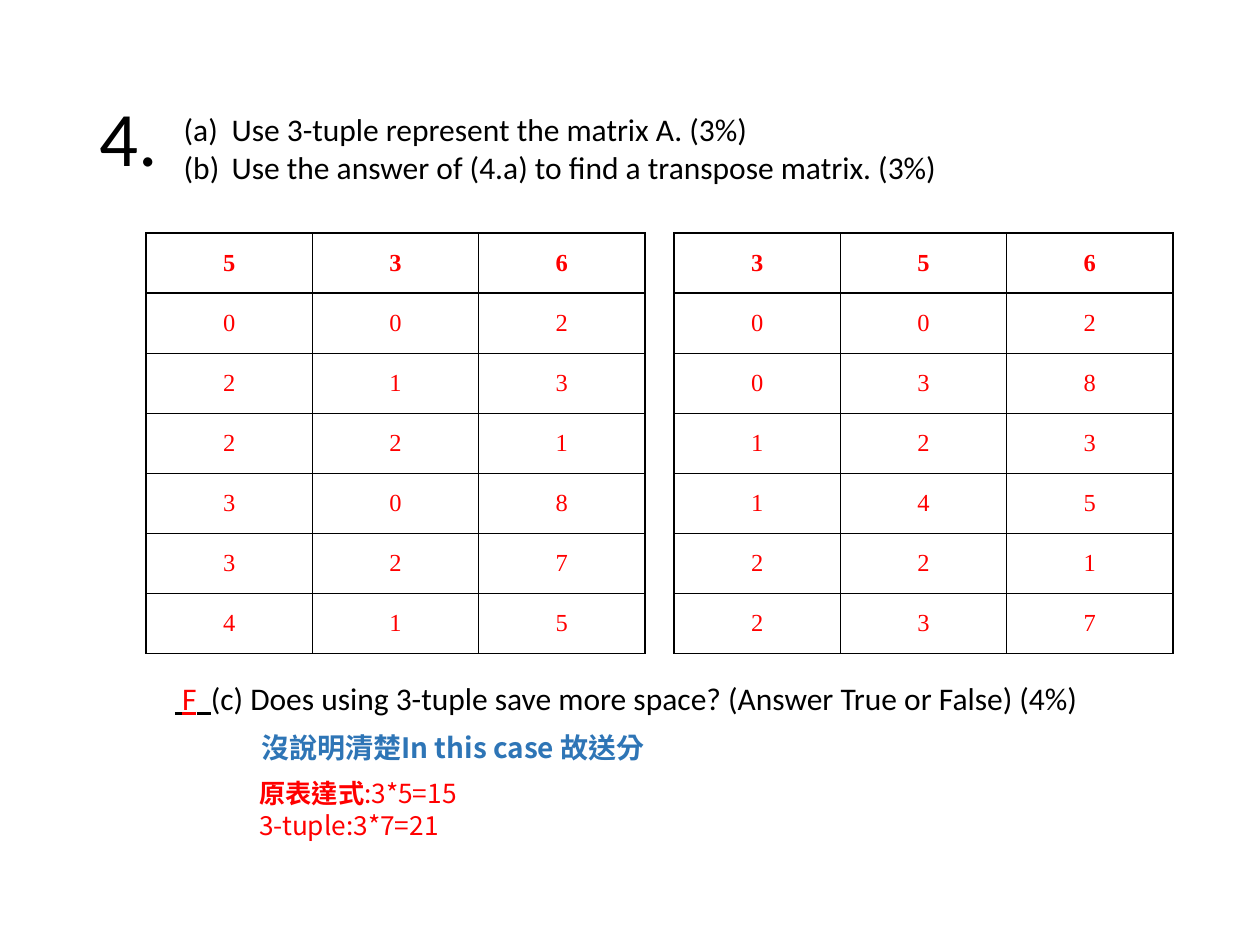
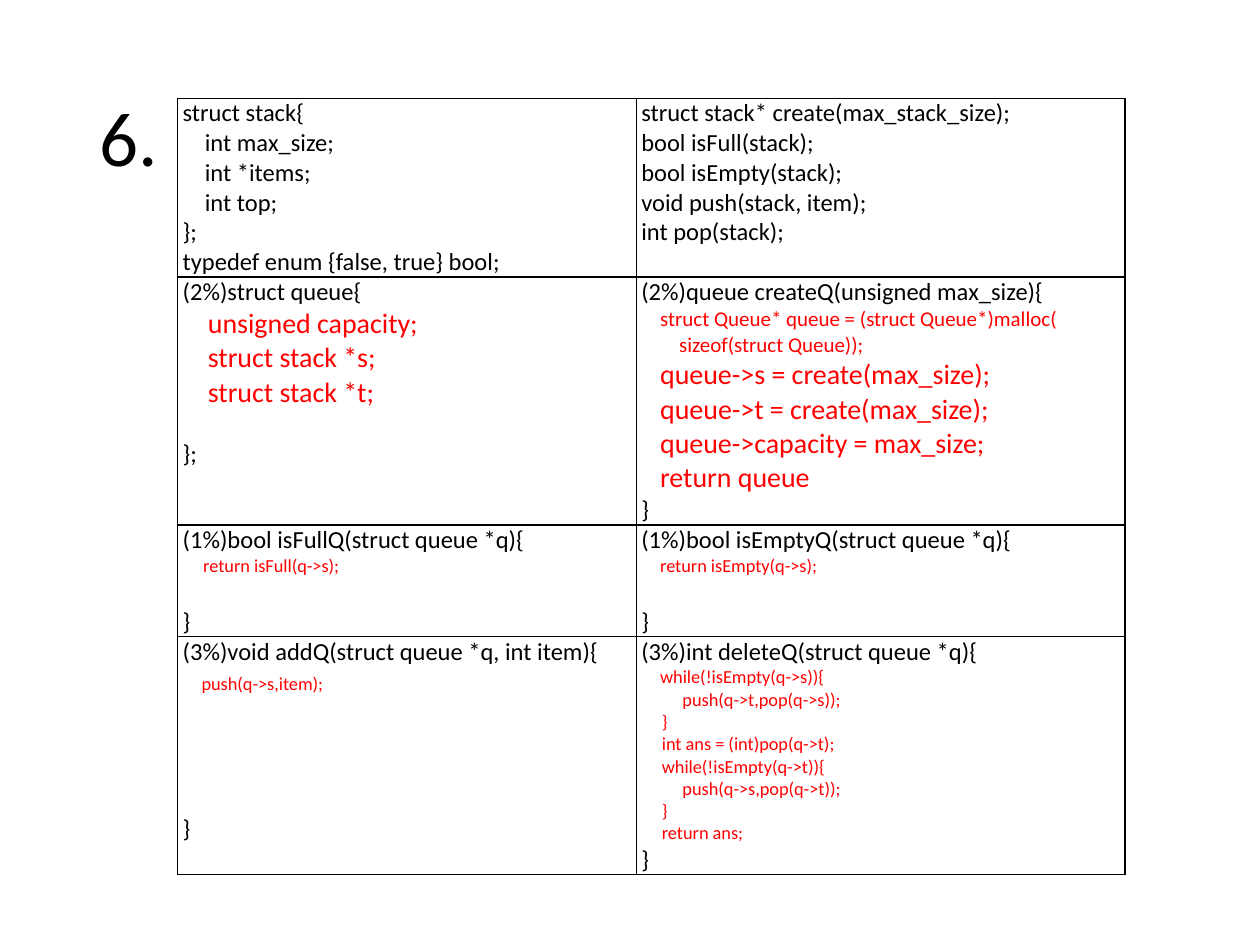
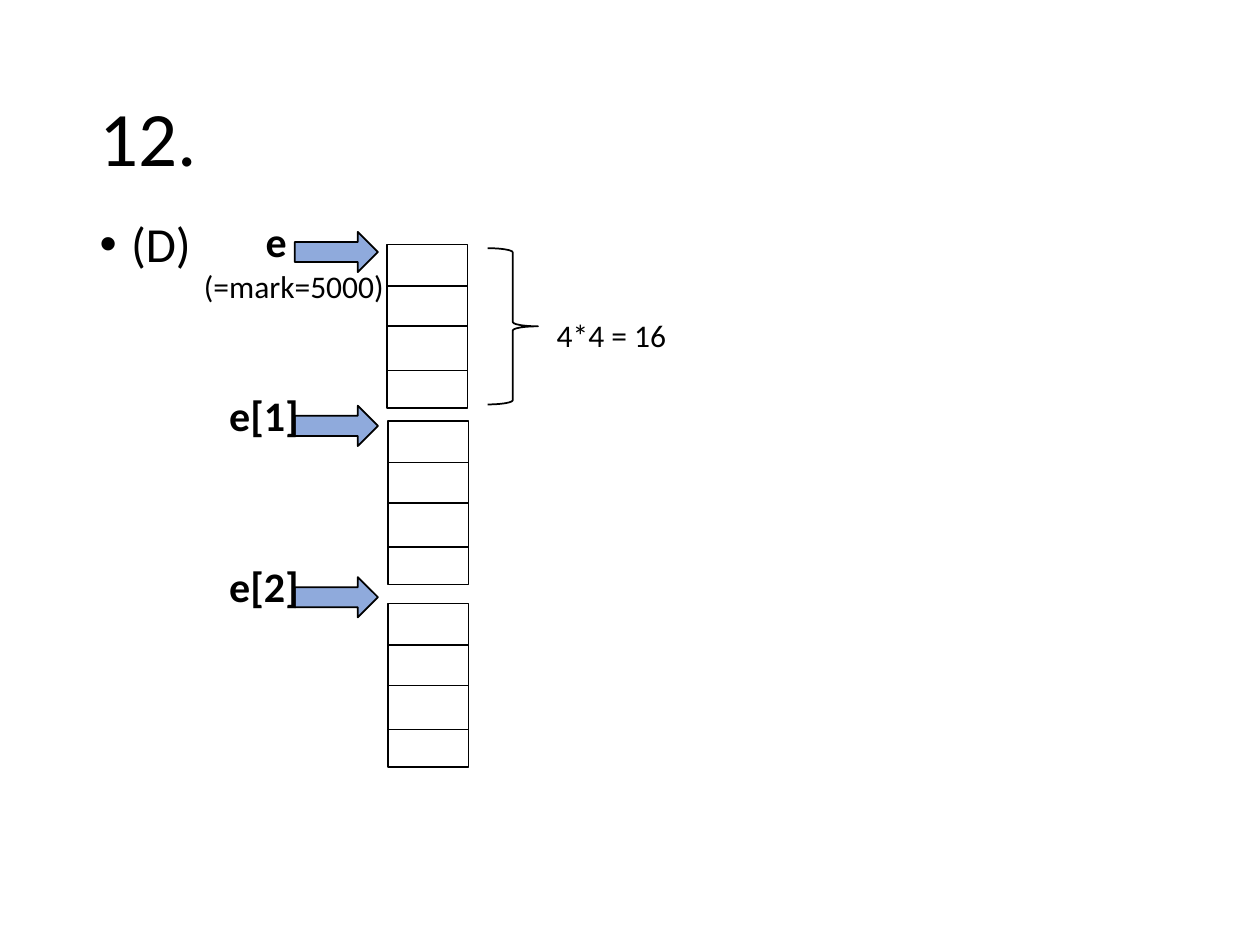
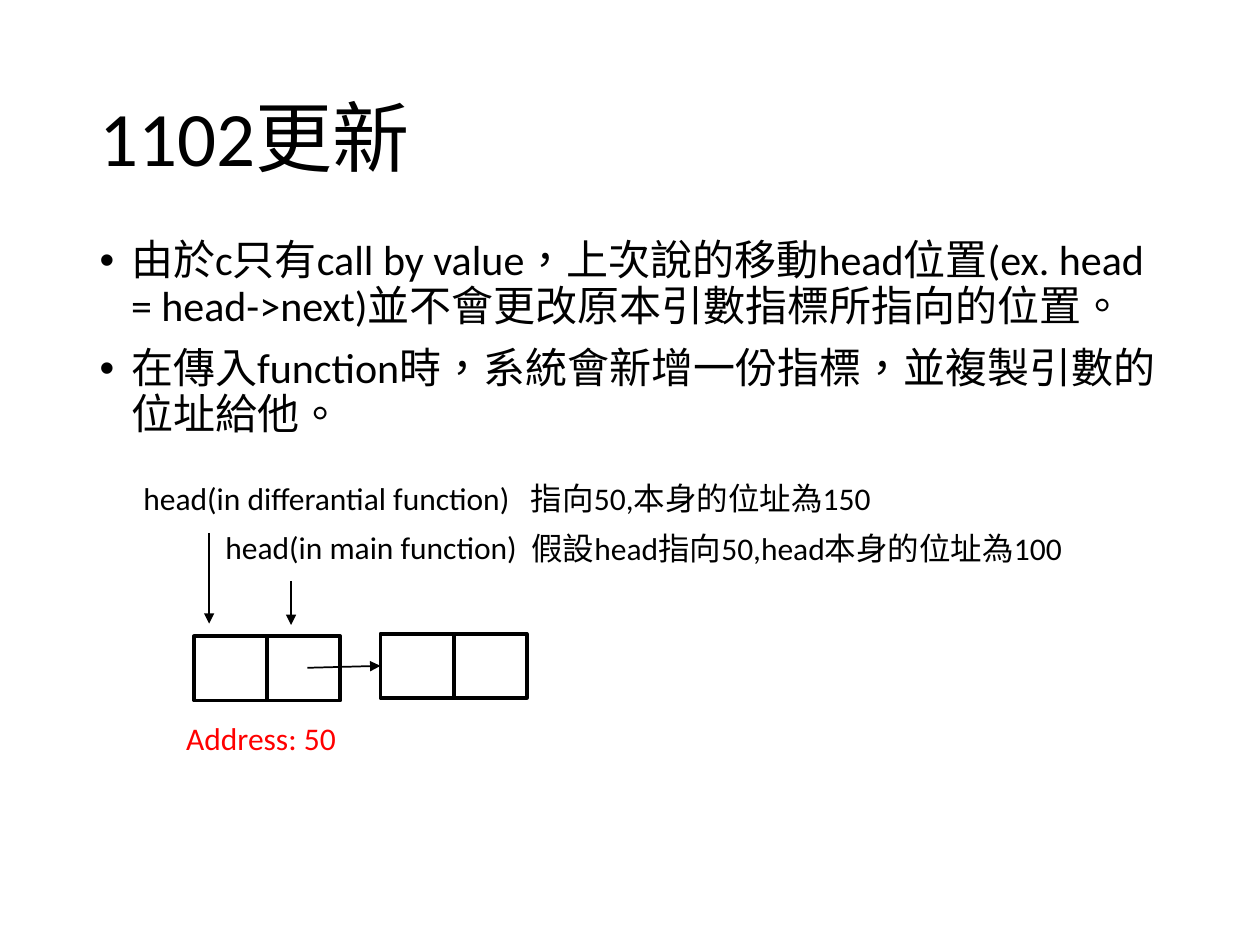
from dataclasses import dataclass

from lxml.etree import SubElement
from pptx import Presentation
from pptx.dml.color import RGBColor
from pptx.enum.shapes import MSO_CONNECTOR, MSO_SHAPE as SHAPE
from pptx.enum.text import MSO_ANCHOR as ANCHOR, MSO_AUTO_SIZE as FIT, PP_ALIGN as ALIGN
from pptx.oxml.ns import qn
from pptx.util import Inches, Pt


@dataclass(frozen=True)
class Theme:
    ink: str = "000000"
    answer: str = "FF0000"
    note: str = "2E75B6"
    arrow: str = "8FAADC"
    paper: str = "FFFFFF"
    font: str = "Calibri"
    serif: str = "Times New Roman"
    cjk: str = "Noto Sans CJK SC"
    language: str = "zh-TW"
    title: float = 44
    bullet: float = 28
    label: float = 24
    text: float = 18
    remark: float = 16
    code: float = 14
    fine: float = 10.5
    thin: float = 1
    thick: float = 2.25


T = Theme()
TITLE_LAYOUT, BODY_LAYOUT = 5, 1
TITLE_BOX = (0.69, 0.4, 8.62, 1.45)
BODY_SIZE = (8.62, 4.76)
CODE_LINE = 17


def answer(text, size=T.fine, first=0.0, gap=0):
    return dict(text=text, size=size, color=T.answer, first=first, gap=gap)


def after_lines(text, lines):
    return dict(text=text, gap=lines * CODE_LINE)


TASKS = [
    "Use 3-tuple represent the matrix A. (3%)",
    "Use the answer of (4.a) to find a transpose matrix. (3%)",
]
TUPLES = [
    ["536", "002", "213", "221", "308", "327", "415"],
    ["356", "002", "038", "123", "145", "221", "237"],
]
SPACE_QUESTION = [
    (" ", dict(underline=True)),
    ("F", dict(underline=True, color=T.answer)),
    ("  ", dict(underline=True)),
    ("(c) Does using 3-tuple save more space? (Answer True or False) (4%)", {}),
]
SPACE_ANSWER = [
    [("原表達式", dict(bold=True)), (":3*5=15", {})],
    "3-tuple:3*7=21",
]

STEP = 0.15
QUEUE_CODE = [
    [
        ["struct stack{", "    int max_size;", "    int *items;", "    int top;", "};",
         "typedef enum {false, true} bool;"],
        ["struct stack* create(max_stack_size);", "bool isFull(stack);",
         "bool isEmpty(stack);", "void push(stack, item);", "int pop(stack);"],
    ],
    [
        ["(2%)struct queue{",
         answer(" unsigned capacity;", 16, STEP),
         answer("    struct stack *s;", 16),
         answer("    struct stack *t;", 16),
         after_lines("};", 1)],
        ["(2%)queue createQ(unsigned max_size){",
         answer("struct Queue* queue = (struct Queue*)malloc(", 12, STEP),
         answer("        sizeof(struct Queue));", 12),
         answer("queue->s = create(max_size);", 16, STEP),
         answer("   queue->t = create(max_size);", 16),
         answer("queue->capacity = max_size;", 16, STEP),
         answer("return queue", 16, STEP),
         "}"],
    ],
    [
        ["(1%)bool isFullQ(struct queue *q){",
         answer("     return isFull(q->s);"),
         after_lines("}", 1)],
        ["(1%)bool isEmptyQ(struct queue *q){",
         answer("return isEmpty(q->s);", first=STEP),
         after_lines("}", 1)],
    ],
    [
        ["(3%)void addQ(struct queue *q, int item){",
         answer("push(q->s,item);", first=STEP, gap=3.5),
         after_lines("}", 4)],
        ["(3%)int deleteQ(struct queue *q){",
         answer("while(!isEmpty(q->s)){", first=STEP),
         answer("          push(q->t,pop(q->s));"),
         answer("     }"),
         answer("     int ans = (int)pop(q->t);"),
         answer("     while(!isEmpty(q->t)){"),
         answer("          push(q->s,pop(q->t));"),
         answer("     }"),
         answer("     return ans;"),
         "}"],
    ],
]
QUEUE_COLS, QUEUE_ROWS = [3.64, 3.88], [1.05, 1.55, 0.68, 1.76]

POINTERS = [
    ("e", 2.01, 1.84, 3.07, 1.94),
    ("e[1]", 1.72, 3.22, 3.08, 3.34),
    ("e[2]", 1.72, 4.58, 3.08, 4.79),
]
MEMORY_SIZE = (0.64, 1.3)
MEMORY_DIVIDERS = [0.33, 0.65, 1]

UPDATE = [
    "由於c只有call by value，上次說的移動head位置(ex. head = head->next)並不會更改原本引數指標所指向的位置。",
    "在傳入function時，系統會新增一份指標，並複製引數的位址給他。",
]
FUNCTION_HEAD = [
    ("head(in differantial function)", {}),
    (" ", dict(tracking=8)),
    ("指向50,本身的位址為150", {}),
]
HEAD_LABELS = [
    ("head(in main function)", (1.69, 4.14, 2.55, 0.4), T.ink),
    ("假設head指向50,head本身的位址為100", (4.12, 4.15, 5, 0.4), T.ink),
    ("Address: 50", (1.38, 5.66, 1.4, 0.4), T.answer),
    (FUNCTION_HEAD, (1.04, 3.75, 6.7, 0.4), T.ink),
]
NODES = [(1.54, 5.05), (3.02, 5.03)]
NODE_SIZE = (1.16, 0.51)
HEAD_ARROWS = [(2.31, 4.61, 4.96), (1.66, 4.23, 4.95)]


def rgb(color):
    return RGBColor.from_string(color)


def inches(*values):
    return [Inches(v) for v in values]


def add_run(p, text, size=T.text, color=T.ink, font=T.font, bold=False, underline=False,
            tracking=0):
    r = p.add_run()
    r.text = text
    r.font.size, r.font.bold, r.font.name = Pt(size), bold, font
    r.font.color.rgb = rgb(color)
    rPr = r.font._element
    rPr.set("lang", T.language)
    if underline:
        r.font.underline = True
    if tracking:
        rPr.set("spc", str(tracking * 100))
    if font == T.cjk:
        SubElement(rPr, qn("a:ea"), typeface=font)


def write_paragraph(p, text, align=ALIGN.LEFT, spacing=None, gap=0, first=0.0,
                    hang=0.0, bullet=None, number=None, **style):
    p.alignment = align
    p.space_before = Pt(gap)
    if spacing:
        p.line_spacing = spacing
    pPr = p._p.get_or_add_pPr()
    pPr.set("marL", str(Inches(hang)))
    pPr.set("indent", str(Inches(first - hang)))
    if bullet:
        SubElement(pPr, qn("a:buFont"), typeface="Arial")
        SubElement(pPr, qn("a:buChar"), char=bullet)
    elif number:
        SubElement(pPr, qn("a:buAutoNum"), type=number)
    else:
        SubElement(pPr, qn("a:buNone"))
    runs = [(text, {})] if isinstance(text, str) else text
    for run_text, extra in runs:
        add_run(p, run_text, **{**style, **extra})


def write(tf, paragraphs, **fmt):
    for i, item in enumerate(paragraphs):
        p = tf.add_paragraph() if i else tf.paragraphs[0]
        own = item if isinstance(item, dict) else {"text": item}
        merged = {**fmt, **own}
        if i == 0:
            merged["gap"] = 0
        write_paragraph(p, **merged)


def place(sp, left, top, width, height):
    sp.left, sp.top, sp.width, sp.height = inches(left, top, width, height)


def add_text(s, box, *paragraphs, anchor=ANCHOR.TOP, **fmt):
    tf = s.shapes.add_textbox(*inches(*box)).text_frame
    tf.word_wrap = True
    tf.vertical_anchor = anchor
    write(tf, paragraphs, **fmt)


def add_slide(prs, title, layout=TITLE_LAYOUT):
    s = prs.slides.add_slide(prs.slide_layouts[layout])
    sp = s.shapes.title
    place(sp, *TITLE_BOX)
    sp.text_frame.vertical_anchor = ANCHOR.MIDDLE
    write(sp.text_frame, [title], size=T.title, spacing=0.9)
    return s


def add_body(s, top, paragraphs, size):
    sp = s.placeholders[1]
    place(sp, TITLE_BOX[0], top, *BODY_SIZE)
    sp.text_frame.auto_size = FIT.NONE
    write(sp.text_frame, paragraphs, size=size, spacing=0.9, gap=10, hang=0.25, bullet="•")


def add_shape(s, kind, box, fill=None, weight=T.thin):
    sp = s.shapes.add_shape(kind, *inches(*box))
    sp.shadow.inherit = False
    if fill:
        sp.fill.solid()
        sp.fill.fore_color.rgb = rgb(fill)
    else:
        sp.fill.background()
    sp.line.color.rgb = rgb(T.ink)
    sp.line.width = Pt(weight)
    return sp


def add_line(s, start, end, weight=T.thin, arrow=False, begin_at=None, end_at=None):
    cxn = s.shapes.add_connector(MSO_CONNECTOR.STRAIGHT, *inches(*start, *end))
    cxn.line.color.rgb = rgb(T.ink)
    cxn.line.width = Pt(weight)
    if arrow:
        SubElement(cxn.line._get_or_add_ln(), qn("a:tailEnd"), type="triangle")
    SubElement(cxn._element.spPr, qn("a:effectLst"))
    if begin_at:
        cxn.begin_connect(*begin_at)
    if end_at:
        cxn.end_connect(*end_at)


def add_borders(cell):
    tcPr = cell._tc.get_or_add_tcPr()
    for i, side in enumerate(("lnL", "lnR", "lnT", "lnB")):
        ln = SubElement(tcPr, qn("a:" + side), w=str(Pt(T.thin)))
        fill = SubElement(ln, qn("a:solidFill"))
        SubElement(fill, qn("a:srgbClr"), val=T.ink)
        tcPr.insert(i, ln)


def add_table(s, left, top, cols, rows, cells, inset, fill=None, anchor=ANCHOR.TOP,
              head_bold=False, **fmt):
    box = inches(left, top, sum(cols), sum(rows))
    table = s.shapes.add_table(len(rows), len(cols), *box).table
    table.first_row = table.horz_banding = False
    for col, width in zip(table.columns, cols):
        col.width = Inches(width)
    for i, (row, height) in enumerate(zip(table.rows, rows)):
        row.height = Inches(height)
        for cell, paragraphs in zip(row.cells, cells[i]):
            cell.margin_left = cell.margin_right = Inches(inset)
            cell.margin_top = cell.margin_bottom = 0
            cell.vertical_anchor = anchor
            if fill:
                cell.fill.solid()
                cell.fill.fore_color.rgb = rgb(fill)
            else:
                cell.fill.background()
            add_borders(cell)
            write(cell.text_frame, paragraphs, bold=head_bold and i == 0, **fmt)


def build_tuples(prs):
    s = add_slide(prs, "4.")
    add_text(s, (1.98, 5.75, 3.59, 0.37), "沒說明清楚In this case 故送分",
             size=T.remark, font=T.cjk, color=T.note, bold=True)
    add_text(s, (1.96, 6.12, 3.17, 0.61), *SPACE_ANSWER, size=15, font=T.cjk, color=T.answer)
    add_text(s, (1.36, 0.82, 7.53, 0.71), *TASKS, anchor=ANCHOR.MIDDLE,
             hang=0.38, number="alphaLcParenBoth")
    for i, rows in enumerate(TUPLES):
        cells = [[[digit] for digit in row] for row in rows]
        add_table(s, 1.16 + i * 4.19, 1.85, [1.32] * 3, [3.34 / len(rows)] * len(rows), cells,
                  inset=0.07, anchor=ANCHOR.MIDDLE, head_bold=True, align=ALIGN.CENTER,
                  size=T.code, font=T.serif, color=T.answer)
    add_text(s, (1.29, 5.34, 7.95, 0.4), SPACE_QUESTION)


def build_queue(prs):
    s = add_slide(prs, "6.")
    add_table(s, 1.41, 0.78, QUEUE_COLS, QUEUE_ROWS, QUEUE_CODE,
              inset=0.04, fill=T.paper, size=T.code)


def add_memory(s, left, top):
    width, height = MEMORY_SIZE
    block = add_shape(s, SHAPE.RECTANGLE, (left, top, width, height), T.paper)
    for offset in MEMORY_DIVIDERS:
        y = top + offset
        middle = offset == height / 2
        add_line(s, (left + width, y), (left, y),
                 begin_at=(block, 3) if middle else None,
                 end_at=(block, 1) if middle else None)


def build_pointers(prs):
    s = add_slide(prs, "12.", BODY_LAYOUT)
    add_body(s, 1.7, ["(D)"], T.bullet)
    for name, label_left, arrow_top, memory_left, memory_top in POINTERS:
        add_memory(s, memory_left, memory_top)
        add_shape(s, SHAPE.RIGHT_ARROW, (2.34, arrow_top, 0.66, 0.32), T.arrow)
        add_text(s, (label_left, arrow_top - 0.18, 0.85, 0.5), name, size=T.label, bold=True)
    add_shape(s, SHAPE.RIGHT_BRACE, (3.87, 1.97, 0.4, 1.24))
    add_text(s, (4.32, 2.46, 1.58, 0.4), "4*4 = 16")
    add_text(s, (1.52, 2.07, 1.64, 0.4), "(=mark=5000)")


def build_update(prs):
    s = add_slide(prs, "1102更新", BODY_LAYOUT)
    add_body(s, 1.85, UPDATE, T.label)
    width, height = NODE_SIZE
    for left, top in NODES:
        node = add_shape(s, SHAPE.RECTANGLE, (left, top, width, height), weight=T.thick)
        x = left + width / 2
        add_line(s, (x, top), (x, top + height), T.thick, begin_at=(node, 0), end_at=(node, 2))
    add_line(s, (2.44, 5.3), (left, top + height / 2), arrow=True, end_at=(node, 1))
    for x, start, end in HEAD_ARROWS:
        add_line(s, (x, start), (x, end), arrow=True)
    for text, box, color in HEAD_LABELS:
        add_text(s, box, text, color=color)


def main():
    prs = Presentation()
    prs.slide_width, prs.slide_height = inches(10, 7.5)
    for build in (build_tuples, build_queue, build_pointers, build_update):
        build(prs)
    prs.save("out.pptx")


if __name__ == "__main__":
    main()
